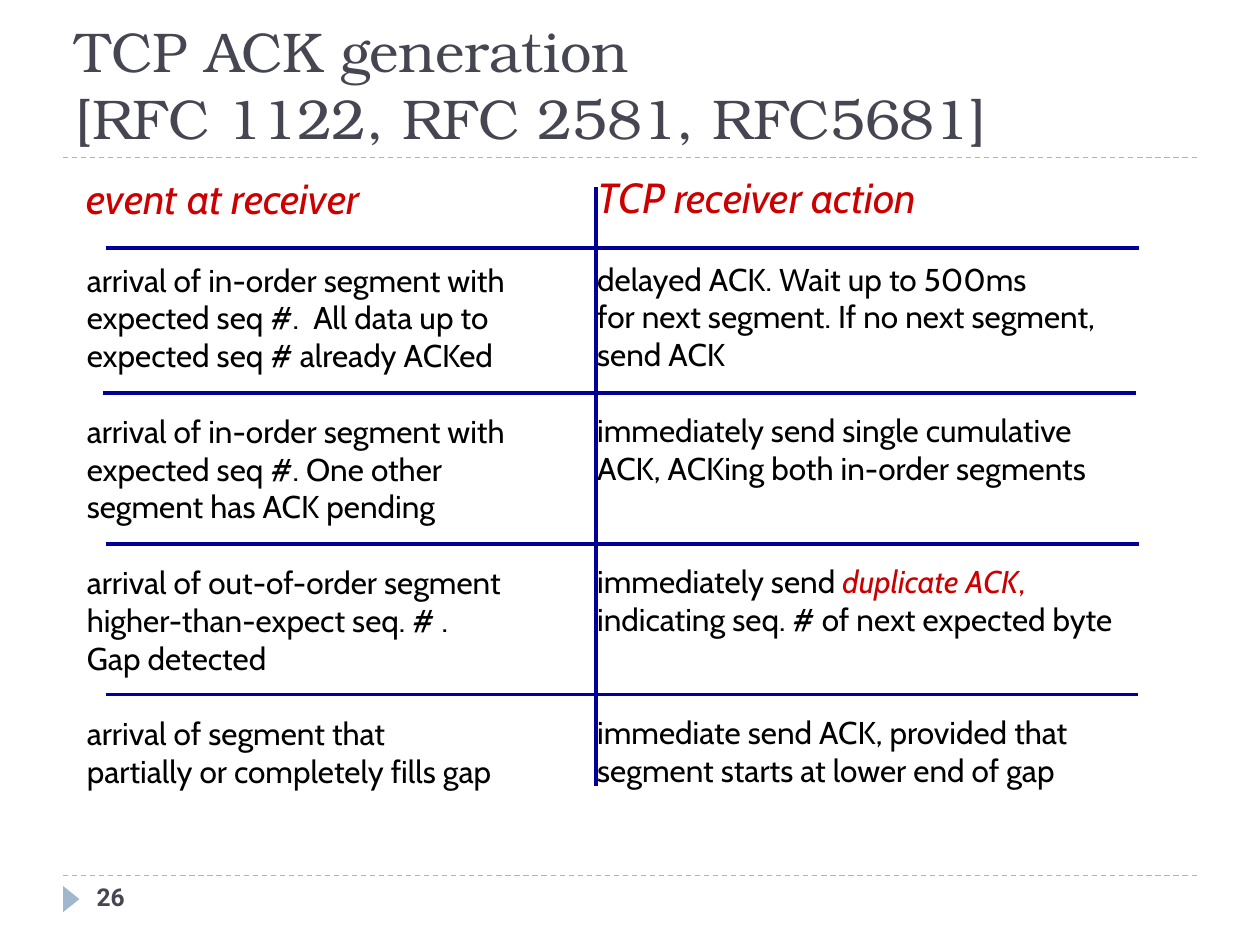
from dataclasses import dataclass

from lxml import etree
from pptx import Presentation
from pptx import util as u
from pptx.dml import color
from pptx.enum import dml, shapes, text
from pptx.oxml import ns

INK, RED, BLACK, NAVY, MIST = "464653", "CC0000", "000000", "000099", "9FB8CD"
BODY_FONT = "Cabin"
ROW_LINES = 3
LINE_PITCH = 21.6


@dataclass
class Frame:
    left: float
    top: float
    width: float
    height: float


@dataclass
class Rule:
    x1: float
    y1: float
    x2: float
    y2: float
    hue: str = NAVY
    weight: float = 2.25
    dashed: bool = False


@dataclass
class Span:
    text: str
    hue: str = BLACK
    italic: bool = False


@dataclass
class Column:
    frame: Frame
    heading: str
    cells: list[list[str | list[Span]]]


RULES = [
    Rule(1.27, 17.65, 24.13, 17.65, MIST, 0.75, True),
    Rule(1.27, 3.18, 24.13, 3.18, MIST, 0.75, True),
    Rule(12.01, 3.76, 12.01, 15.85),
    Rule(2.13, 5, 22.96, 5),
    Rule(2.08, 7.92, 22.91, 7.92),
    Rule(2.13, 10.97, 22.96, 10.97),
    Rule(2.13, 14, 22.94, 14),
]

COLUMNS = [
    Column(Frame(1.5, 3.35, 9.98, 14.22), "event at receiver", [
        ["arrival of in-order segment with",
         "expected seq #.  All data up to",
         "expected seq # already ACKed"],
        ["arrival of in-order segment with",
         "expected seq #. One other",
         "segment has ACK pending"],
        ["arrival of out-of-order segment",
         "higher-than-expect seq. # .",
         "Gap detected"],
        ["arrival of segment that",
         "partially or completely fills gap"],
    ]),
    Column(Frame(11.79, 3.33, 12.01, 14.22), "TCP receiver action", [
        ["delayed ACK. Wait up to 500ms",
         "for next segment. If no next segment,",
         "send ACK"],
        ["immediately send single cumulative",
         "ACK, ACKing both in-order segments"],
        [[Span("immediately send "), Span("duplicate ACK", RED, True), Span(",", RED)],
         "indicating seq. # of next expected byte"],
        ["immediate send ACK, provided that",
         "segment starts at lower end of gap"],
    ]),
]


def rgb(value: str) -> color.RGBColor:
    """Turn a hex string into a colour."""
    return color.RGBColor.from_string(value)


def set_font(font, name: str, size: float, hue: str, bold=False, italic=False) -> None:
    """Set every used property of a font."""
    font.name, font.size = name, u.Pt(size)
    font.bold, font.italic = bold, italic
    font.color.rgb = rgb(hue)


def add_box(page, frame: Frame):
    """Add a wrapping text box and return its text frame."""
    box = page.shapes.add_textbox(
        u.Cm(frame.left), u.Cm(frame.top), u.Cm(frame.width), u.Cm(frame.height))
    box.text_frame.word_wrap = True
    return box.text_frame


def draw_label(page, frame: Frame, label: str, name: str, size: float,
               bold=False, anchor=text.MSO_ANCHOR.TOP) -> None:
    """Draw a text box holding one paragraph in the ink colour."""
    box = add_box(page, frame)
    box.vertical_anchor = anchor
    para = box.paragraphs[0]
    para.text = label
    set_font(para.font, name, size, INK, bold)


def draw_rule(page, rule: Rule) -> None:
    """Draw a straight line without a shadow."""
    line = page.shapes.add_connector(
        shapes.MSO_CONNECTOR.STRAIGHT,
        u.Cm(rule.x1), u.Cm(rule.y1), u.Cm(rule.x2), u.Cm(rule.y2))
    line.line.color.rgb = rgb(rule.hue)
    line.line.width = u.Pt(rule.weight)
    if rule.dashed:
        line.line.dash_style = dml.MSO_LINE.DASH
    etree.SubElement(line._element.spPr, ns.qn("a:effectLst"))


def draw_marker(page) -> None:
    """Draw the triangle that points at the page number."""
    marker = page.shapes.add_shape(
        shapes.MSO_SHAPE.ISOSCELES_TRIANGLE,
        u.Cm(1.17), u.Cm(17.96), u.Cm(0.53), u.Cm(0.33))
    marker.rotation = 90
    marker.shadow.inherit = False
    marker.fill.solid()
    marker.fill.fore_color.rgb = rgb(MIST)
    marker.line.fill.background()


def add_line(box, line: str | list[Span], gap: float) -> None:
    """Add one body line with a gap above it."""
    para = box.add_paragraph()
    para.space_before = u.Pt(gap)
    set_font(para.font, BODY_FONT, 18, BLACK)
    for span in [Span(line)] if isinstance(line, str) else line:
        run = para.add_run()
        run.text = span.text
        set_font(run.font, BODY_FONT, 18, span.hue, italic=span.italic)


def draw_column(page, column: Column) -> None:
    """Draw a heading and its cells, each cell spaced to a full row."""
    box = add_box(page, column.frame)
    heading = box.paragraphs[0]
    heading.text = column.heading
    set_font(heading.font, BODY_FONT, 24, RED, italic=True)
    gap = LINE_PITCH
    for cell in column.cells:
        for index, line in enumerate(cell):
            add_line(box, line, 0 if index else gap)
        gap = LINE_PITCH * (1 + ROW_LINES - len(cell))


def main() -> None:
    """Build the slide and save it."""
    deck = Presentation()
    deck.slide_width, deck.slide_height = u.Cm(25.4), u.Cm(19.05)
    page = deck.slides.add_slide(deck.slide_layouts[6])
    draw_marker(page)
    draw_label(page, Frame(1.27, 0.43, 22.86, 2.74),
               "TCP ACK generation \v[RFC 1122, RFC 2581, RFC5681]",
               "TeX Gyre Bonum", 32, anchor=text.MSO_ANCHOR.BOTTOM)
    for column in COLUMNS:
        draw_column(page, column)
    for rule in RULES:
        draw_rule(page, rule)
    draw_label(page, Frame(1.7, 17.65, 5.51, 1.02), "26", "Roboto", 14, bold=True)
    deck.save("out.pptx")


if __name__ == "__main__":
    main()
